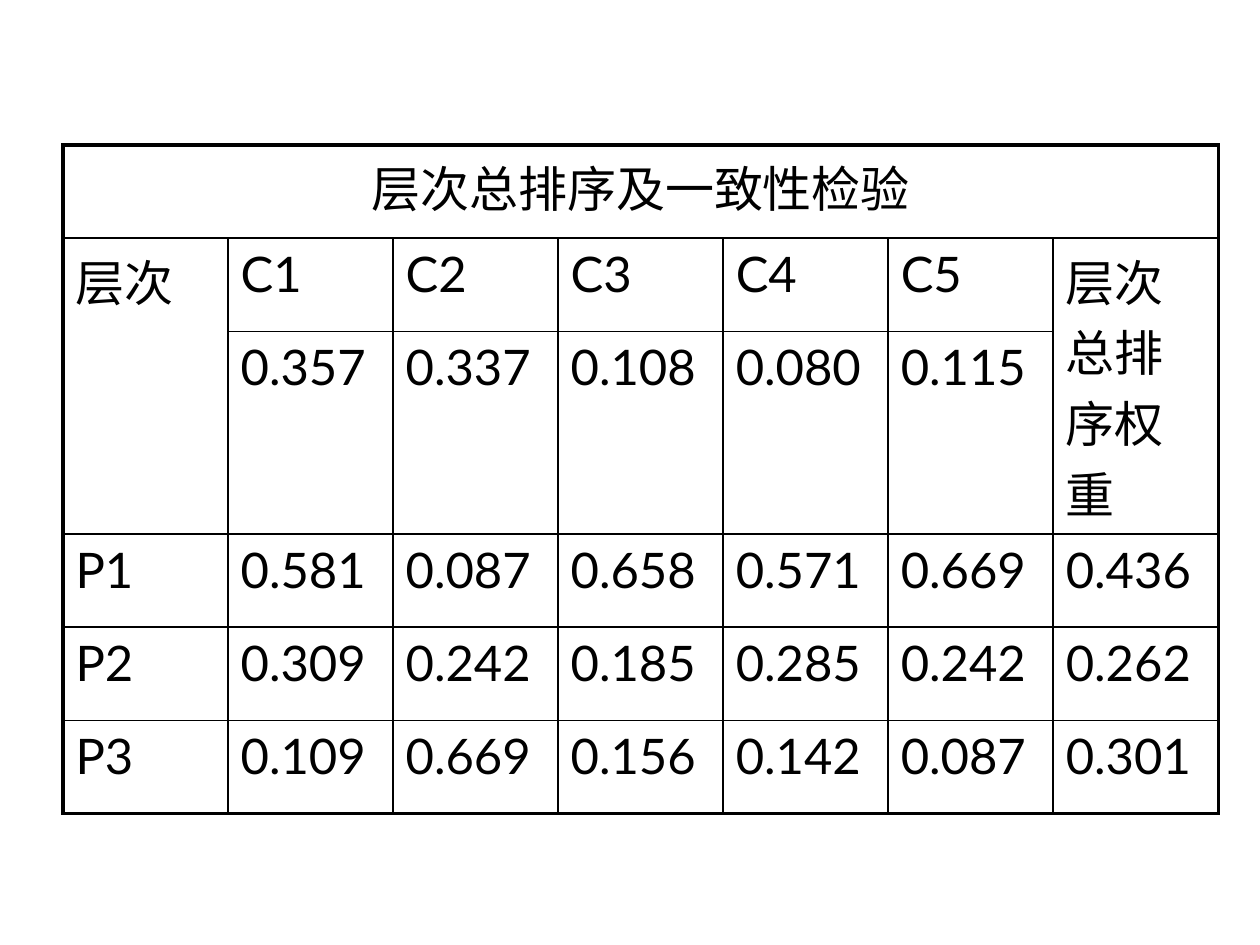
from dataclasses import dataclass

from lxml.etree import SubElement
from pptx import Presentation
from pptx.dml.color import RGBColor
from pptx.enum.text import PP_ALIGN as Align
from pptx.oxml.ns import qn
from pptx.util import Pt


@dataclass(frozen=True)
class Theme:
    font: str = "Lato"
    size: float = 28
    ink: str = "000000"
    thin: float = 1
    thick: float = 2.25


THEME = Theme()
LEFT, TOP = 36, 82.8
COL_WIDTH = 94.32
ROW_HEIGHTS = [53.28, 53.28, 88.56, 53.28, 53.28, 53.28]
ROWS = [
    ["层次总排序及一致性检验"],
    ["层次", "C1", "C2", "C3", "C4", "C5", "层次总排序权重"],
    ["", "0.357", "0.337", "0.108", "0.080", "0.115", ""],
    ["P1", "0.581", "0.087", "0.658", "0.571", "0.669", "0.436"],
    ["P2", "0.309", "0.242", "0.185", "0.285", "0.242", "0.262"],
    ["P3", "0.109", "0.669", "0.156", "0.142", "0.087", "0.301"],
]
N_ROWS, N_COLS = len(ROWS), len(ROWS[1])
MERGES = [((0, 0), (0, N_COLS - 1)), ((1, 0), (2, 0)), ((1, N_COLS - 1), (2, N_COLS - 1))]


def set_borders(cell, row, col):
    outer_edges = {
        "a:lnL": col == 0,
        "a:lnR": col + cell.span_width == N_COLS,
        "a:lnT": row == 0,
        "a:lnB": row + cell.span_height == N_ROWS,
    }
    tc_pr = cell._tc.get_or_add_tcPr()
    for tag, outer in outer_edges.items():
        width = THEME.thick if outer else THEME.thin
        ln = SubElement(tc_pr, qn(tag), w=str(Pt(width)))
        fill = SubElement(ln, qn("a:solidFill"))
        SubElement(fill, qn("a:srgbClr"), val=THEME.ink)


def set_text(cell, text, align):
    cell.text_frame.text = text
    p = cell.text_frame.paragraphs[0]
    p.alignment = align
    for r in p.runs:
        r.font.name = THEME.font
        r.font.size = Pt(THEME.size)
        r.font.color.rgb = RGBColor.from_string(THEME.ink)


def add_ranking_table(slide):
    frame = slide.shapes.add_table(
        N_ROWS, N_COLS, Pt(LEFT), Pt(TOP), Pt(COL_WIDTH * N_COLS), Pt(sum(ROW_HEIGHTS))
    )
    table = frame.table
    table.first_row = table.horz_banding = False
    for column in table.columns:
        column.width = Pt(COL_WIDTH)
    for row, height in zip(table.rows, ROW_HEIGHTS):
        row.height = Pt(height)
    for start, end in MERGES:
        table.cell(*start).merge(table.cell(*end))

    for row, texts in enumerate(ROWS):
        for col, text in enumerate(texts):
            cell = table.cell(row, col)
            if cell.is_spanned:
                continue
            set_text(cell, text, Align.CENTER if row == 0 else Align.LEFT)
            set_borders(cell, row, col)
    for cell in table.iter_cells():
        cell.fill.background()


def main():
    prs = Presentation()
    prs.slide_width, prs.slide_height = Pt(720), Pt(540)
    slide = prs.slides.add_slide(prs.slide_layouts[6])
    add_ranking_table(slide)
    prs.save("out.pptx")


if __name__ == "__main__":
    main()
